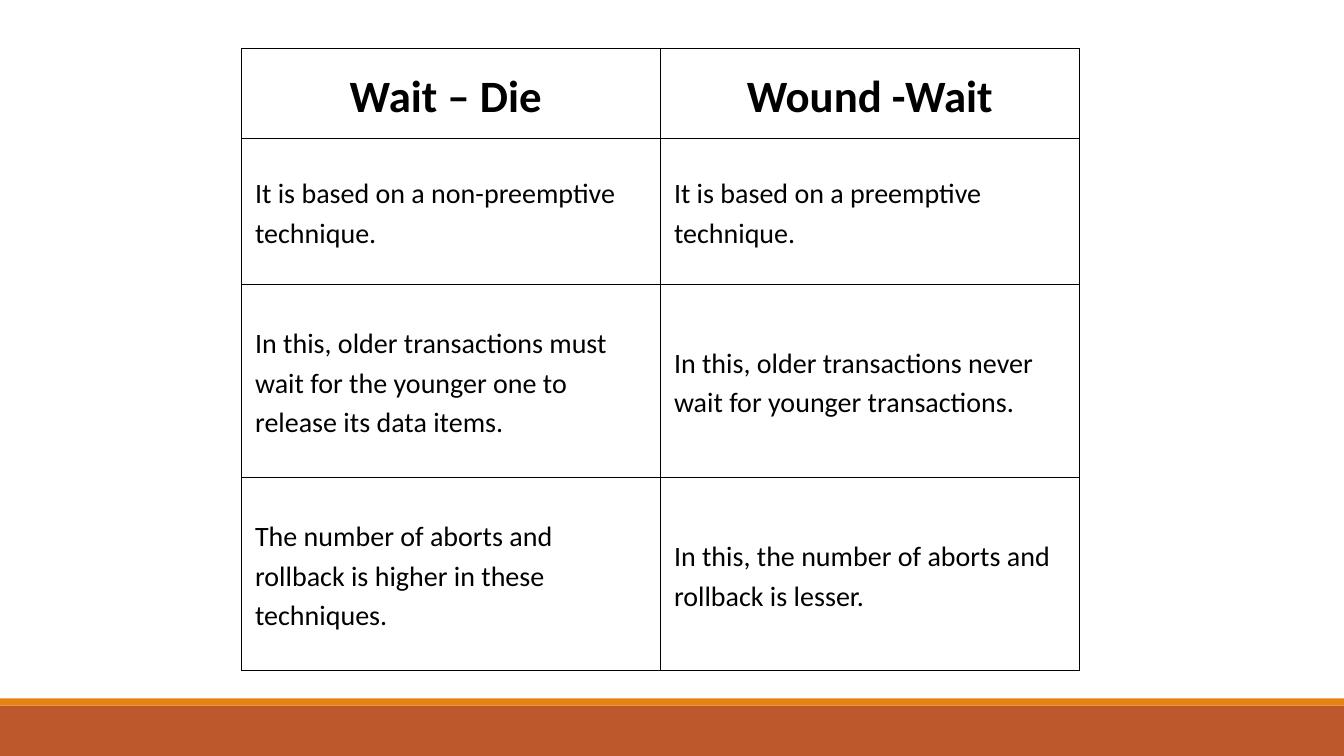
from dataclasses import dataclass

from lxml.etree import SubElement
from pptx import Presentation
from pptx.dml.color import RGBColor
from pptx.enum.shapes import MSO_SHAPE
from pptx.enum.text import MSO_ANCHOR, PP_ALIGN
from pptx.oxml.ns import qn
from pptx.util import Pt

PX = 9525
WIDTH, HEIGHT = 1280, 720


@dataclass(frozen=True)
class Theme:
    font: str = "Calibri"
    head: int = 32
    body: int = 20
    ink: str = "000000"
    paper: str = "FFFFFF"
    band: str = "BD582C"
    strip: str = "E48312"
    line: float = 0.75
    bold: float = 1.25


THEME = Theme()

ROWS = [
    ("Wait – Die ", "Wound -Wait"),
    ("It is based on a non-preemptive technique.",
     "It is based on a preemptive technique."),
    ("In this, older transactions must wait for the younger one to release its data items.",
     "In this, older transactions never wait for younger transactions."),
    ("The number of aborts and rollback is higher in these techniques.",
     "In this, the number of aborts and rollback is lesser."),
]
TALL = [81, 139, 184, 184]


def scale(*sizes):
    return [size * PX for size in sizes]


def assign(target, values):
    for name, value in values.items():
        setattr(target, name, value)


def paint(fill, color):
    fill.solid()
    fill.fore_color.rgb = RGBColor.from_string(color)


def add_bar(slide, box, color):
    bar = slide.shapes.add_shape(MSO_SHAPE.RECTANGLE, *scale(*box))
    bar.shadow.inherit = False
    paint(bar.fill, color)
    bar.line.fill.background()


def add_footer(slide, box):
    """Draw the band with a thin strip along its top edge."""
    left, top, width, height = box
    strip = 7
    add_bar(slide, (left, top + strip, width, height - strip), THEME.band)
    add_bar(slide, (left, top, width, strip), THEME.strip)


def add_border(cell, sides):
    """Draw each side of the cell, given as a dict of side letter to points."""
    props = cell._tc.get_or_add_tcPr()
    for side, width in sides.items():
        line = SubElement(props, qn(f"a:ln{side}"), w=str(Pt(width)))
        fill = SubElement(line, qn("a:solidFill"))
        SubElement(fill, qn("a:srgbClr"), val=THEME.ink)


def fill_cell(cell, text, head, sides):
    add_border(cell, sides)
    paint(cell.fill, THEME.paper)
    side, edge = scale(13, 13 if head else 18)
    assign(cell, {
        "text": text,
        "vertical_anchor": MSO_ANCHOR.MIDDLE,
        "margin_left": side, "margin_right": side,
        "margin_top": edge, "margin_bottom": edge,
    })
    para = cell.text_frame.paragraphs[0]
    assign(para, {
        "alignment": PP_ALIGN.CENTER if head else PP_ALIGN.LEFT,
        "line_spacing": 1.15,
    })
    font = para.runs[0].font
    assign(font, {
        "name": THEME.font,
        "size": Pt(THEME.head if head else THEME.body),
        "bold": head,
    })
    font.color.rgb = RGBColor.from_string(THEME.ink)


def add_grid(slide, box):
    frame = slide.shapes.add_table(len(ROWS), len(ROWS[0]), *scale(*box))
    table = frame.table
    assign(table, {"first_row": False, "horz_banding": False})
    for row, height in zip(table.rows, TALL):
        row.height = height * PX
    for i, texts in enumerate(ROWS):
        sides = {
            "L": THEME.line,
            "R": THEME.line,
            "T": THEME.bold if i < 2 else THEME.line,
            "B": THEME.bold if i == 0 else THEME.line,
        }
        for j, text in enumerate(texts):
            fill_cell(table.cell(i, j), text, i == 0, sides)


def main():
    deck = Presentation()
    deck.slide_width, deck.slide_height = scale(WIDTH, HEIGHT)
    slide = deck.slides.add_slide(deck.slide_layouts[6])
    paint(slide.background.fill, THEME.paper)
    add_footer(slide, (0, 665, WIDTH, 55))
    add_grid(slide, (230, 46, 798, sum(TALL)))
    deck.save("out.pptx")


if __name__ == "__main__":
    main()
